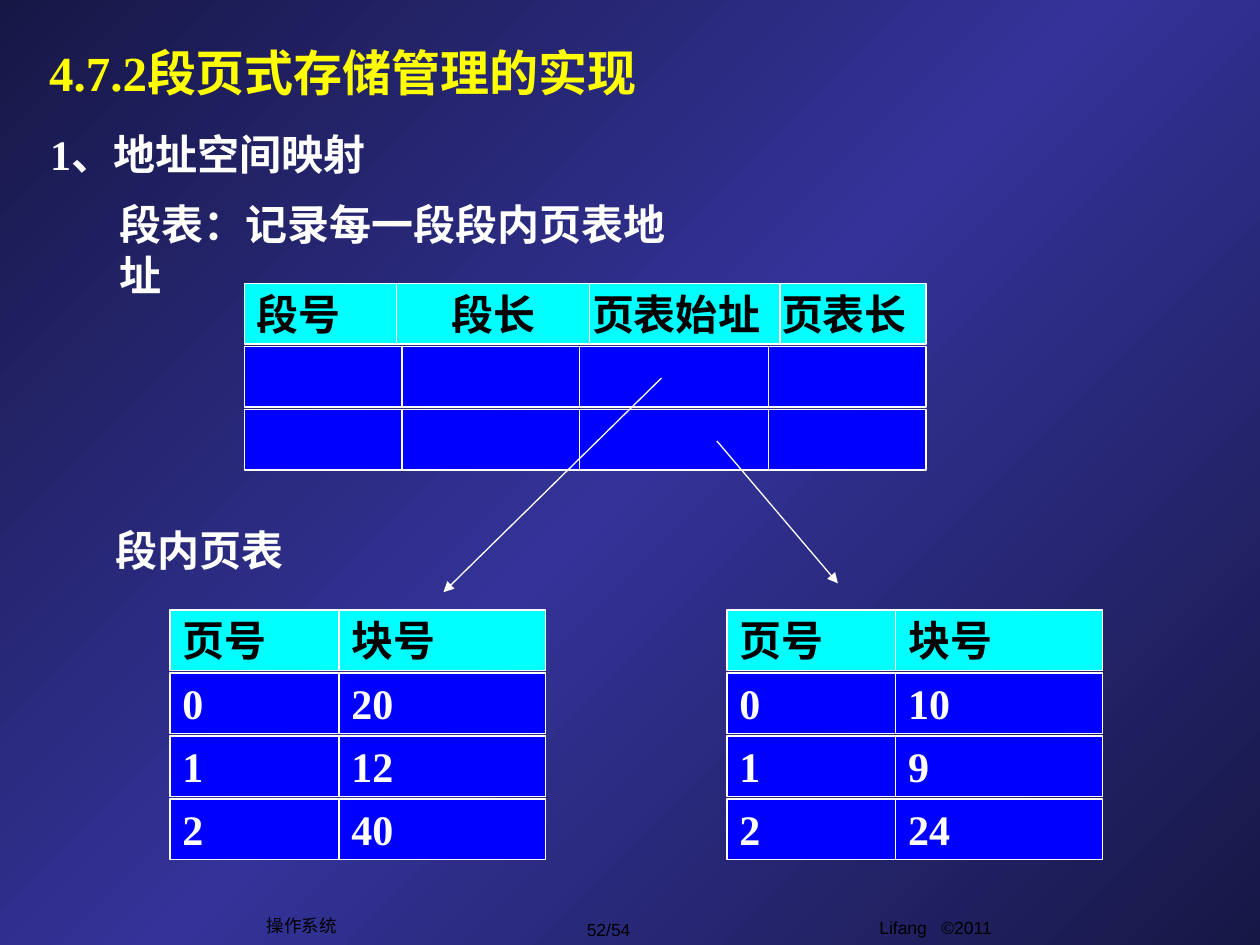
from copy import deepcopy

from lxml import etree
from pptx import Presentation
from pptx.dml.color import RGBColor
from pptx.enum.shapes import MSO_CONNECTOR, MSO_SHAPE
from pptx.enum.text import MSO_ANCHOR, MSO_AUTO_SIZE, PP_ALIGN
from pptx.oxml.ns import qn
from pptx.util import Inches, Pt

LEFT, CENTER = PP_ALIGN.LEFT, PP_ALIGN.CENTER
TOP, MIDDLE = MSO_ANCHOR.TOP, MSO_ANCHOR.MIDDLE
GROW, FIXED = MSO_AUTO_SIZE.SHAPE_TO_FIT_TEXT, MSO_AUTO_SIZE.NONE
RECT, LINE = MSO_SHAPE.RECTANGLE, MSO_CONNECTOR.STRAIGHT

NAVY = RGBColor(0x17, 0x17, 0x46)
INDIGO = RGBColor(0x33, 0x33, 0x99)
YELLOW = RGBColor(0xFF, 0xFF, 0x00)
WHITE = RGBColor(0xFF, 0xFF, 0xFF)
BLACK = RGBColor(0, 0, 0)
CYAN = RGBColor(0x00, 0xFF, 0xFF)
BLUE = RGBColor(0x00, 0x00, 0xFF)

SERIF, SANS = "Times New Roman", "Arial"
ROW, TALL = 0.5, 0.48

TITLE = ("4.7.2段页式存储管理的实现", (0.29, 0.29, 7.21, 0.57))
FOOTER = [
    ("Lifang   ©2011", (5.84, 7.23, 3.17, 0.35), TOP, True),
    ("52/54", (4.32, 7.24, 1.02, 0.27), MIDDLE, False),
    ("操作系统", (2.02, 7.21, 0.75, 0.27), MIDDLE, False),
]
HEADINGS = [
    ("1、地址空间映射", (0.3, 0.97, 2.78, 0.5)),
    ("段表：记录每一段段内页表地址", (0.85, 1.53, 4.86, 0.5)),
    ("段内页表", (0.82, 4.11, 1.53, 0.5)),
]
SEG_TOP = 2.25
SEG_HEAD = [
    ("段号", 1.94, 1.44, LEFT),
    ("页表长", 6.1, 1.25, LEFT),
    ("页表始址", 4.6, 1.59, LEFT),
    ("段长", 3.15, 1.53, CENTER),
]
SEG_COLS = [(1.94, 1.44), (3.19, 1.64), (4.6, 1.73), (6.1, 1.25)]
SEG_ROWS = 2
PAGE_TOP = 4.84
PAGE_COLS = [(0, 1.54), (1.34, 1.64)]
PAGES = [
    (1.35, [("页号", "块号"), ("0", "20"), ("1", "12"), ("2", "40")]),
    (5.77, [("页号", "块号"), ("0", "10"), ("1", "9"), ("2", "24")]),
]
ARROWS = [((5.25, 3), (3.52, 4.7)), ((5.69, 3.5), (6.65, 4.63))]


def write(shape, text, size, color, face=SERIF, bold=True, align=LEFT,
          anchor=TOP, wrap=False, fit=GROW):
    frame = shape.text_frame
    frame.text = text
    frame.word_wrap = wrap
    frame.auto_size = fit
    frame.vertical_anchor = anchor
    para = frame.paragraphs[0]
    para.alignment = align
    for run in para.runs:
        font = run.font
        font.size, font.name, font.bold = Pt(size), face, bold
        font.color.rgb = color


def add_text(slide, box, *args, **style):
    write(slide.shapes.add_textbox(*map(Inches, box)), *args, **style)


def add_cell(slide, left, top, width, fill, text="", align=LEFT):
    cell = slide.shapes.add_shape(RECT, *map(Inches, (left, top, width, TALL)))
    cell.shadow.inherit = False
    cell.fill.solid()
    cell.fill.fore_color.rgb = fill
    cell.line.color.rgb = WHITE
    cell.line.width = Pt(0.75)
    if text:
        color = BLACK if fill == CYAN else WHITE
        write(cell, text, 24, color, align=align, anchor=MIDDLE, fit=FIXED)


def add_arrow(slide, start, end):
    arrow = slide.shapes.add_connector(LINE, *map(Inches, start + end))
    arrow.line.color.rgb = WHITE
    arrow.line.width = Pt(0.75)
    tail = etree.SubElement(arrow.line._get_or_add_ln(), qn("a:tailEnd"))
    tail.set("type", "triangle")
    etree.SubElement(arrow._element.spPr, qn("a:effectLst"))


def paint(slide):
    fill = slide.background.fill
    fill.gradient()
    fill.gradient_angle = 135
    last = slide.background._cSld.find(".//" + qn("a:gs") + "[2]")
    last.addnext(deepcopy(last))
    for stop, place, color in zip(fill.gradient_stops, (0, 0.5, 1),
                                  (NAVY, INDIGO, NAVY)):
        stop.position = place
        stop.color.rgb = color


def main():
    deck = Presentation()
    deck.slide_width, deck.slide_height = Inches(10), Inches(7.5)
    slide = deck.slides.add_slide(deck.slide_layouts[5])
    paint(slide)

    text, box = TITLE
    title = slide.shapes.title
    title.left, title.top, title.width, title.height = map(Inches, box)
    write(title, text, 28, YELLOW, wrap=True)

    for text, box, anchor, wrap in FOOTER:
        add_text(slide, box, text, 10, BLACK, face=SANS, bold=False,
                 align=CENTER, anchor=anchor, wrap=wrap)
    for text, box in HEADINGS:
        add_text(slide, box, text, 24, WHITE)

    for text, left, width, align in SEG_HEAD:
        add_cell(slide, left, SEG_TOP, width, CYAN, text, align)
    for row in range(1, SEG_ROWS + 1):
        for left, width in SEG_COLS:
            add_cell(slide, left, SEG_TOP + row * ROW, width, BLUE)

    for left, rows in PAGES:
        for row, texts in enumerate(rows):
            fill = BLUE if row else CYAN
            for (shift, width), text in zip(PAGE_COLS, texts):
                add_cell(slide, left + shift, PAGE_TOP + row * ROW, width,
                         fill, text)

    for start, end in ARROWS:
        add_arrow(slide, start, end)
    deck.save("out.pptx")


if __name__ == "__main__":
    main()
